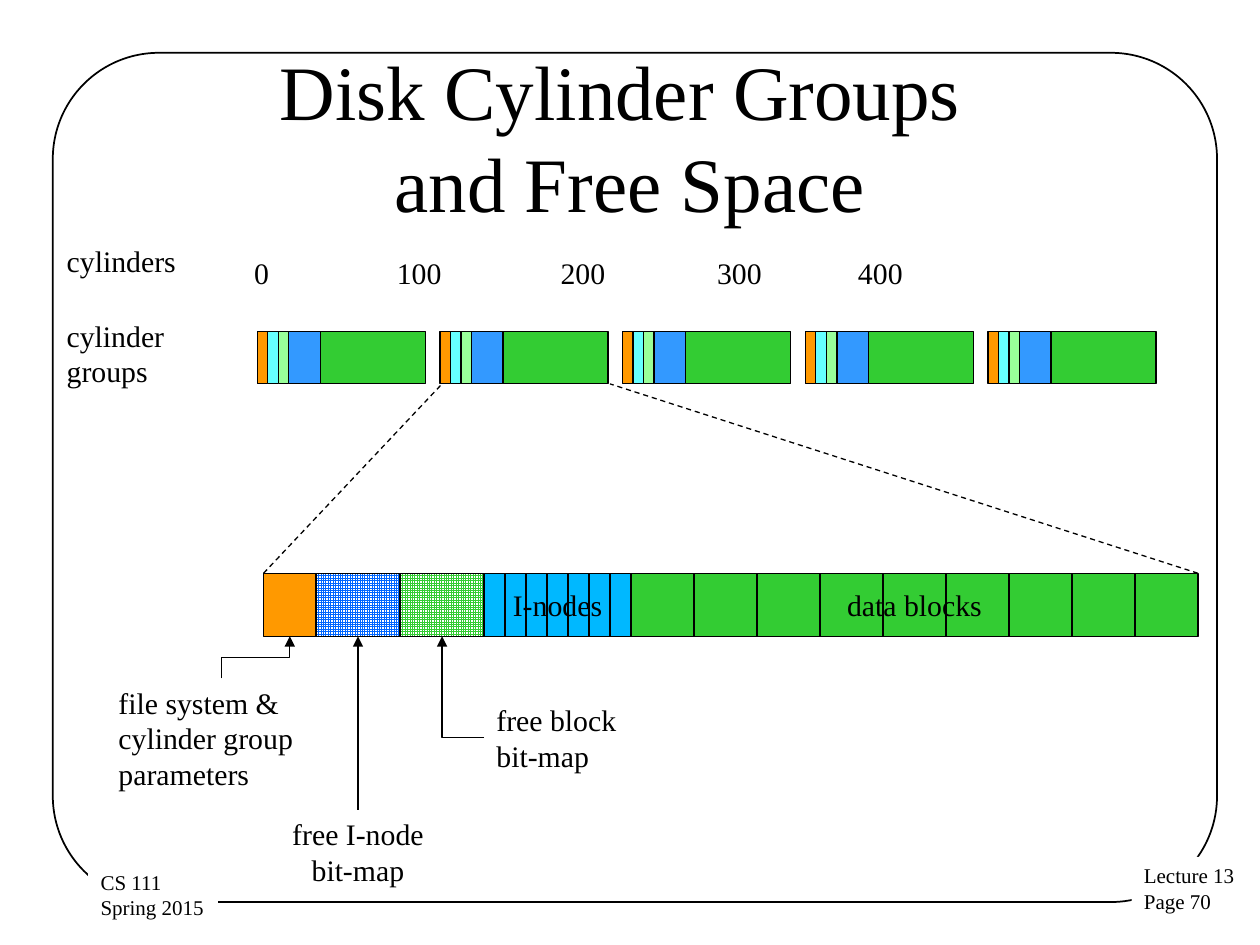
from dataclasses import dataclass
from itertools import accumulate

from lxml.etree import SubElement
from pptx import Presentation
from pptx.dml.color import RGBColor
from pptx.enum.dml import MSO_LINE, MSO_PATTERN
from pptx.enum.shapes import MSO_CONNECTOR as LINK, MSO_SHAPE as SHAPE
from pptx.enum.text import MSO_ANCHOR as ANCHOR, MSO_AUTO_SIZE as AUTO, PP_ALIGN as ALIGN
from pptx.oxml.ns import qn
from pptx.util import Pt


@dataclass(frozen=True)
class Theme:
    """Colours, font and type sizes of the slide."""
    font: str = "Times New Roman"
    title: float = 44
    label: float = 17
    footer: float = 12
    ink: str = "000000"
    paper: str = "FFFFFF"
    orange: str = "FF9900"
    cyan: str = "66FFFF"
    mint: str = "99FF99"
    blue: str = "3399FF"
    green: str = "33CC33"
    inode: str = "00B8FF"
    map_blue: str = "0066FF"
    thin: float = 0.75


THEME = Theme()
GROUP_LEFT, GROUP_TOP, GROUP_HEIGHT, GROUP_PITCH = 147, 189.4, 30, 104.4
GROUP_PARTS = [(6, THEME.orange), (6, THEME.cyan), (6, THEME.mint),
               (18, THEME.blue), (60, THEME.green)]
BAR_LEFT, BAR_TOP, BAR_HEIGHT = 150.6, 327.6, 36
BAR_BOTTOM = BAR_TOP + BAR_HEIGHT
# width, colour, patterned, caption, width of one cell
BAR_PARTS = [(30, THEME.orange, False, "", 0),
             (48, THEME.map_blue, True, "", 0),
             (48, THEME.green, True, "", 0),
             (84, THEME.inode, False, "I-nodes", 12),
             (324, THEME.green, False, "data blocks", 36)]


def rgb(code):
    """Turn a hex code into a colour."""
    return RGBColor.from_string(code)


def set_text(shape, text, size, align=ALIGN.LEFT, anchor=ANCHOR.TOP, wrap=True):
    """Write text into a shape and format its runs."""
    frame = shape.text_frame
    frame.text = text
    frame.word_wrap = wrap
    frame.auto_size = AUTO.NONE
    frame.vertical_anchor = anchor
    for para in frame.paragraphs:
        para.alignment = align
        for span in para.runs:
            span.font.name = THEME.font
            span.font.size = Pt(size)
            span.font.color.rgb = rgb(THEME.ink)


def add_label(slide, left, top, width, height, text, align=ALIGN.LEFT):
    """Add a wrapped text label."""
    box = slide.shapes.add_textbox(Pt(left), Pt(top), Pt(width), Pt(height))
    set_text(box, text, THEME.label, align)
    return box


def add_block(slide, left, top, width, height, fill=None, line=THEME.thin,
              kind=SHAPE.RECTANGLE, patterned=False):
    """Add a box with a plain, grid or empty fill; line 0 means no outline."""
    box = slide.shapes.add_shape(kind, Pt(left), Pt(top), Pt(width), Pt(height))
    box.shadow.inherit = False
    if fill is None:
        box.fill.background()
    elif patterned:
        box.fill.patterned()
        box.fill.pattern = MSO_PATTERN.SMALL_GRID
        box.fill.fore_color.rgb = rgb(fill)
        box.fill.back_color.rgb = rgb(THEME.paper)
    else:
        box.fill.solid()
        box.fill.fore_color.rgb = rgb(fill)
    if line:
        box.line.color.rgb = rgb(THEME.ink)
        box.line.width = Pt(line)
    else:
        box.line.fill.background()
    return box


def add_line(slide, start, end, kind=LINK.STRAIGHT, dashed=False, arrow=False):
    """Add a thin connector, optionally dashed or with an arrowhead."""
    link = slide.shapes.add_connector(kind, *map(Pt, start + end))
    link.line.color.rgb = rgb(THEME.ink)
    link.line.width = Pt(THEME.thin)
    if dashed:
        link.line.dash_style = MSO_LINE.DASH
    if arrow:
        SubElement(link.line._get_or_add_ln(), qn("a:tailEnd"), type="triangle")
    SubElement(link._element.spPr, qn("a:effectLst"))
    return link


def add_elbow(slide, start, end, preset, turn):
    """Add a bent arrow with the given outline, turned by whole degrees."""
    link = add_line(slide, start, end, LINK.ELBOW, arrow=True)
    link._element.spPr.find(qn("a:prstGeom")).set("prst", preset)
    link._element.spPr.find(qn("a:xfrm")).set("rot", str(turn * 60000))


def add_frame(slide):
    """Add the rounded border and the two footers that interrupt it."""
    frame = add_block(slide, 30.2, 30.2, 665.3, 485.3, line=1,
                      kind=SHAPE.ROUNDED_RECTANGLE)
    frame.adjustments[0] = 0.125
    for left, top, width, text in [(646.6, 489.6, 67, "Lecture 13\nPage 70"),
                                   (50.4, 493.2, 74.2, "CS 111\nSpring 2015 ")]:
        footer = add_block(slide, left, top, width, 36.7, THEME.paper, line=0)
        set_text(footer, text, THEME.footer, wrap=False)


def add_title(slide):
    """Place and format the title."""
    title = slide.shapes.title
    title.left, title.top, title.width, title.height = map(Pt, (36, 32.4, 648, 90))
    set_text(title, "Disk Cylinder Groups \vand Free Space", THEME.title,
             ALIGN.CENTER, ANCHOR.MIDDLE)


def add_scale(slide):
    """Add the cylinder numbers, spaced by tab stops."""
    box = add_label(slide, 138.2, 141.8, 522, 27.4, "0\t100\t200\t300\t400")
    stops = SubElement(box.text_frame.paragraphs[0]._p.get_or_add_pPr(), qn("a:tabLst"))
    for stop in (81.5, 175, 264.5, 345):
        SubElement(stops, qn("a:tab"), pos=str(Pt(stop)), algn="l")


def add_groups(slide):
    """Add the row of five cylinder groups."""
    for group in range(5):
        left = GROUP_LEFT + group * GROUP_PITCH
        for width, colour in GROUP_PARTS:
            add_block(slide, left, GROUP_TOP, width, GROUP_HEIGHT, colour)
            left += width


def add_bar(slide):
    """Add the enlarged group with its cell dividers."""
    lefts = accumulate((part[0] for part in BAR_PARTS), initial=BAR_LEFT)
    for left, (width, colour, patterned, caption, cell) in zip(lefts, BAR_PARTS):
        block = add_block(slide, left, BAR_TOP, width, BAR_HEIGHT, colour,
                          patterned=patterned)
        if caption:
            set_text(block, caption, THEME.label, ALIGN.CENTER, ANCHOR.MIDDLE, wrap=False)
            for offset in range(cell, width, cell):
                add_line(slide, (left + offset, BAR_TOP), (left + offset, BAR_BOTTOM))


def add_zoom(slide):
    """Join the second group to its enlargement."""
    bar_right = BAR_LEFT + sum(part[0] for part in BAR_PARTS)
    group_bottom = GROUP_TOP + GROUP_HEIGHT
    for bar_x, group_x in [(BAR_LEFT, 252.6), (bar_right, 348.6)]:
        add_line(slide, (bar_x, BAR_TOP), (group_x, group_bottom), dashed=True)


def add_callouts(slide):
    """Explain the first three parts of the bar."""
    add_label(slide, 60.6, 387.6, 132, 69, "file system & cylinder group parameters")
    add_label(slide, 276.6, 397.6, 108, 48, "free block bit-map")
    add_label(slide, 150.6, 462.6, 108, 48, "free I-node bit-map", ALIGN.CENTER)
    add_elbow(slide, (158.1, 395.1), (134.1, 356.1), "bentConnector3", 90)
    add_elbow(slide, (252.6, BAR_BOTTOM), (276.6, 421.6), "bentConnector2", 180)
    add_line(slide, (204.6, 462.6), (204.6, BAR_BOTTOM), arrow=True)


def main():
    """Build the slide and save the deck."""
    deck = Presentation()
    deck.slide_width, deck.slide_height = Pt(720), Pt(540)
    page = deck.slides.add_slide(deck.slide_layouts[5])
    add_frame(page)
    add_title(page)
    add_bar(page)
    add_callouts(page)
    add_groups(page)
    add_label(page, 31, 135.4, 90, 27.4, "cylinders")
    add_label(page, 31, 177.8, 108, 48.2, "cylinder groups")
    add_zoom(page)
    add_scale(page)
    deck.save("out.pptx")


main()
